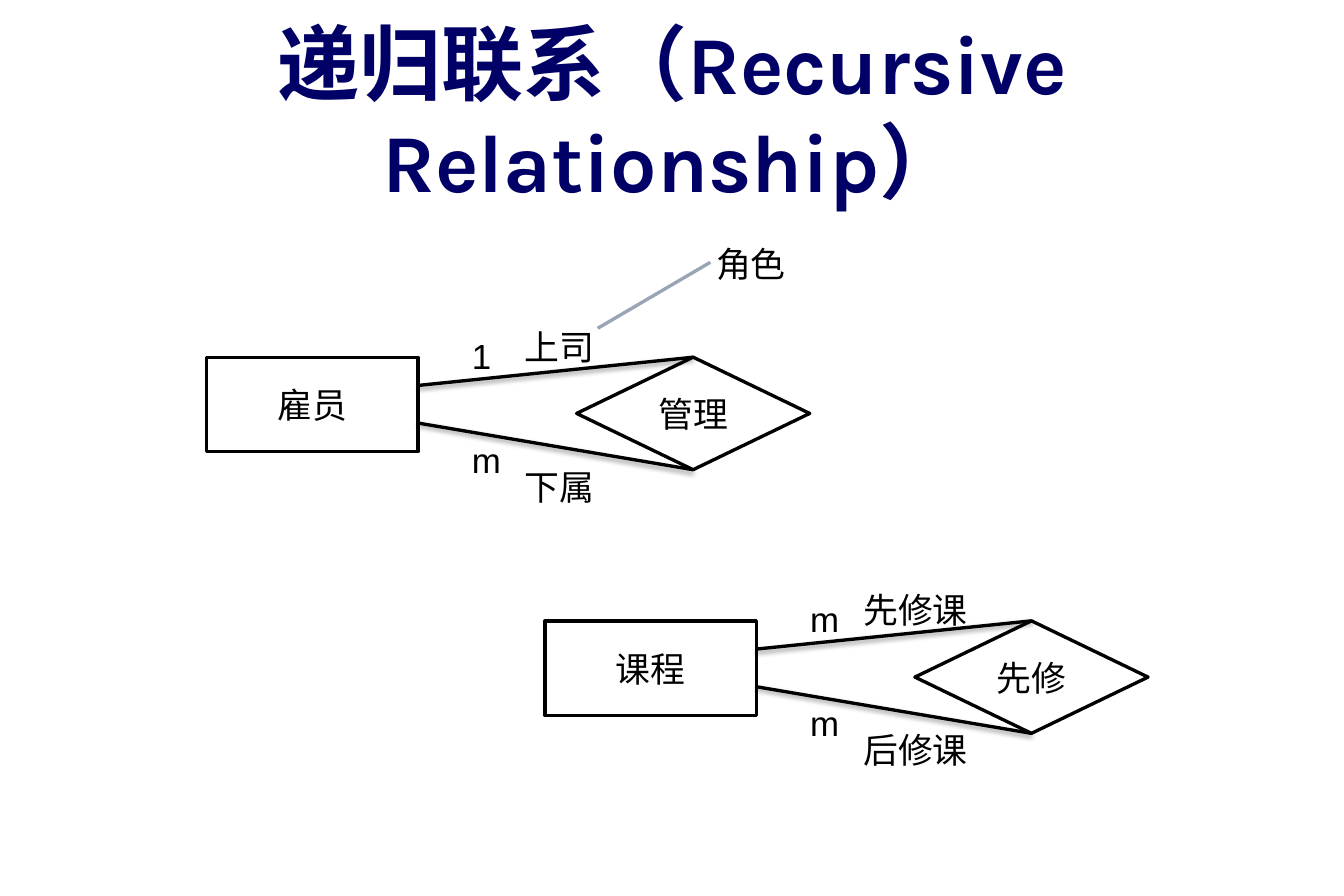
from lxml.etree import SubElement
from pptx import Presentation
from pptx.dml.color import RGBColor
from pptx.enum.shapes import MSO_CONNECTOR, MSO_SHAPE
from pptx.enum.text import MSO_ANCHOR, MSO_AUTO_SIZE, PP_ALIGN
from pptx.oxml.ns import qn
from pptx.util import Pt

BLACK = RGBColor(0x00, 0x00, 0x00)
WHITE = RGBColor(0xFF, 0xFF, 0xFF)
NAVY = RGBColor(0x00, 0x00, 0x66)
GREY = RGBColor(0x99, 0xA4, 0xB4)

BODY = {"name": "Arial", "size": Pt(21), "bold": False}
TITLE = {"name": "Karla", "size": Pt(49.5), "bold": True}
LINE_WIDTH = Pt(2)


class Diagram:
    """Draws the parts of an ER diagram on one slide, in points."""

    def __init__(self, slide):
        self.shapes = slide.shapes

    def add_text(self, s, text, align, font=BODY, color=BLACK):
        p = s.text_frame.paragraphs[0]
        p.alignment = align
        r = p.add_run()
        r.text = text
        for name, value in font.items():
            setattr(r.font, name, value)
        r.font.color.rgb = color

    def title(self, text, x, y, w, h):
        s = self.shapes.add_textbox(Pt(x), Pt(y), Pt(w), Pt(h))
        frame = {"word_wrap": True, "vertical_anchor": MSO_ANCHOR.MIDDLE,
                 "margin_left": Pt(13), "margin_right": Pt(13),
                 "margin_top": Pt(6.5), "margin_bottom": Pt(6.5)}
        for name, value in frame.items():
            setattr(s.text_frame, name, value)
        self.add_text(s, text, PP_ALIGN.CENTER, TITLE, NAVY)

    def label(self, text, x, y, w):
        s = self.shapes.add_textbox(Pt(x), Pt(y), Pt(w), Pt(32.4))
        s.text_frame.word_wrap = False
        s.text_frame.auto_size = MSO_AUTO_SIZE.SHAPE_TO_FIT_TEXT
        self.add_text(s, text, PP_ALIGN.LEFT)

    def box(self, kind, text, x, y, w, h, line=BLACK):
        s = self.shapes.add_shape(kind, Pt(x), Pt(y), Pt(w), Pt(h))
        s.shadow.inherit = False
        s.fill.solid()
        s.fill.fore_color.rgb = WHITE
        s.line.color.rgb = line
        s.line.width = LINE_WIDTH
        s.text_frame.vertical_anchor = MSO_ANCHOR.MIDDLE
        self.add_text(s, text, PP_ALIGN.CENTER)
        return s

    def link(self, x, y, target, site):
        s = self.shapes.add_connector(MSO_CONNECTOR.STRAIGHT,
                                      Pt(x), Pt(y), Pt(x), Pt(y))
        s.end_connect(target, site)
        s.line.color.rgb = BLACK
        s.line.width = LINE_WIDTH
        # Soft shadow straight below the line
        effects = SubElement(s._element.spPr, qn("a:effectLst"))
        shadow = SubElement(effects, qn("a:outerShdw"), blurRad=str(Pt(3.1)),
                            dist=str(Pt(1.6)), dir="5400000", rotWithShape="0")
        color = SubElement(shadow, qn("a:srgbClr"), val=str(BLACK))
        SubElement(color, qn("a:alpha"), val="38000")

    def recursion(self, x, y, entity, relation, upper, lower, role_width):
        """Entity tied twice to a relation; upper and lower: (count, role)."""
        self.box(MSO_SHAPE.RECTANGLE, entity, x, y, 127.5, 57)
        diamond = self.box(MSO_SHAPE.DIAMOND, relation, x + 223, y, 140.5, 67.8)
        self.link(x + 127.5, y + 39.7, diamond, 2)
        self.link(x + 127.5, y + 17, diamond, 0)
        for (count, role), count_dy, role_dy in ((upper, -17.3, -22.7),
                                                 (lower, 45.3, 61.6)):
            self.label(count, x + 152.8, y + count_dy,
                       26 if count == "1" else 32.4)
            self.label(role, x + 184.8, y + role_dy, role_width)

    def callout(self, text, x, y, w, h, points):
        s = self.box(MSO_SHAPE.LINE_CALLOUT_1_NO_BORDER, text, x, y, w, h, GREY)
        for i, value in enumerate(points):
            s.adjustments[i] = value


def main():
    prs = Presentation()
    prs.slide_width, prs.slide_height = Pt(810), Pt(540)
    diagram = Diagram(prs.slides.add_slide(prs.slide_layouts[6]))

    # Heading
    diagram.title("递归联系（Recursive Relationship）", 40.5, 21.6, 729, 90)

    # Employees managing employees
    diagram.recursion(124.5, 215.3, "雇员", "管理",
                      ("1", "上司"), ("m", "下属"), 57)
    diagram.callout("角色", 417.6, 141.8, 70, 34, (0.48, 0.15, 1.65, -0.82))

    # Courses required before courses
    diagram.recursion(328.4, 374.2, "课程", "先修",
                      ("m", "先修课"), ("m", "后修课"), 78.5)

    prs.save("out.pptx")


if __name__ == "__main__":
    main()
